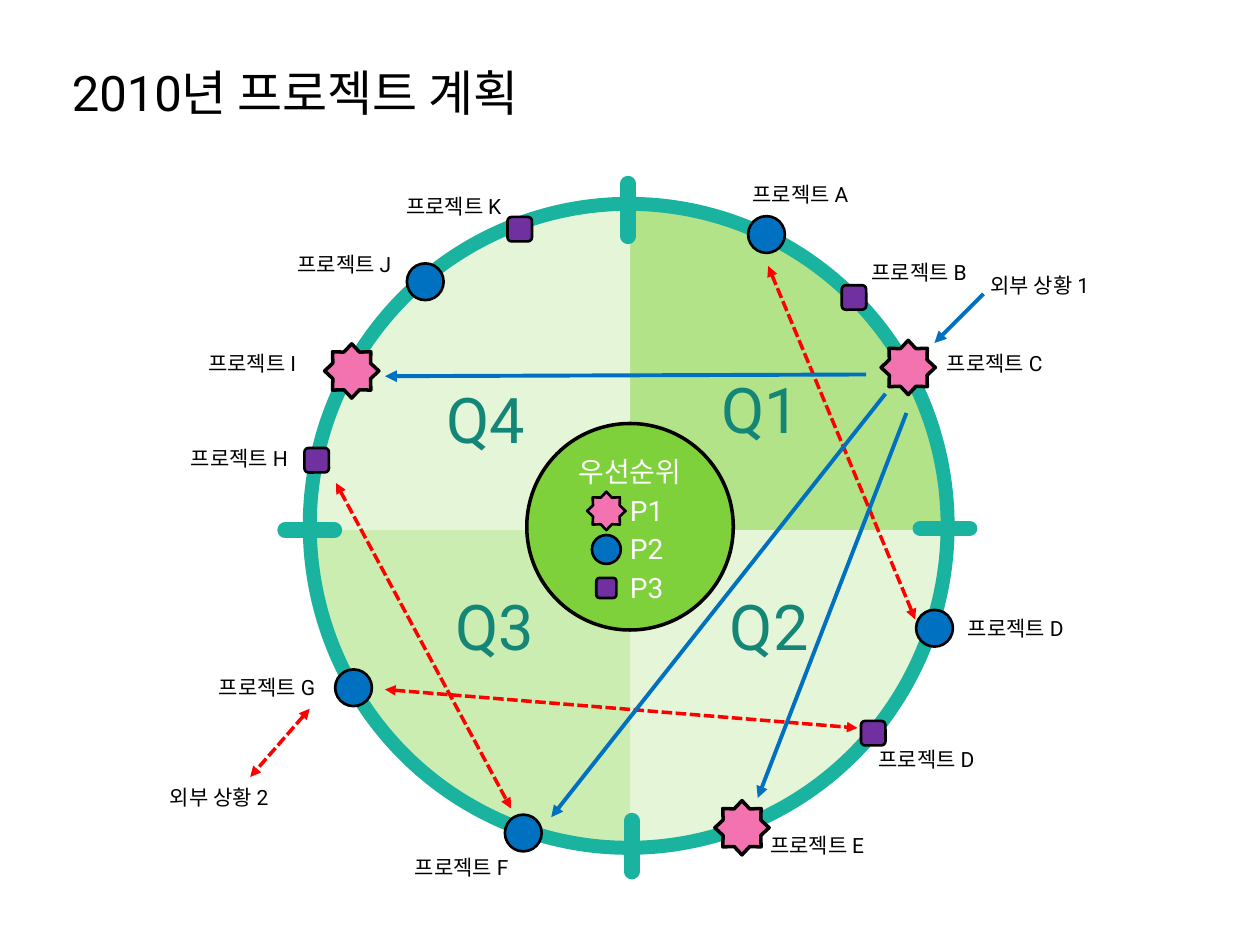
from lxml.etree import SubElement
from pptx import Presentation
from pptx.dml.color import RGBColor
from pptx.enum.dml import MSO_LINE
from pptx.enum.shapes import MSO_CONNECTOR, MSO_SHAPE
from pptx.enum.text import MSO_ANCHOR, PP_ALIGN
from pptx.oxml.ns import qn
from pptx.util import Pt

FONT = "Roboto"
TEAL, DARK_TEAL, BLUE, RED = "1AB39F", "138677", "0070C0", "FF0000"

# Priority: preset, fill, size on the ring, size in the legend
PRIORITIES = {
    "P1": (MSO_SHAPE.STAR_8_POINT, "F273AF", 31, 22),
    "P2": (MSO_SHAPE.OVAL, BLUE, 21, 16.5),
    "P3": (MSO_SHAPE.ROUNDED_RECTANGLE, "7030A0", 14, 11.5),
}

# All places below are offsets from the centre of the wheel
# Project letter, priority, marker centre, label corner
PROJECTS = [
    ("A", "P2", (78, -169), (63, -203)),
    ("B", "P3", (128, -133), (131, -158)),
    ("C", "P1", (159, -93), (174, -106)),
    ("D", "P2", (174, 56), (186, 45)),
    ("D", "P3", (139, 116), (135, 120)),
    ("E", "P1", (64, 170), (73, 169)),
    ("F", "P2", (-61, 173), (-130, 182)),
    ("G", "P2", (-158, 90), (-242, 79)),
    ("H", "P3", (-179, -40), (-258, -52)),
    ("I", "P1", (-159, -91), (-248, -106)),
    ("J", "P2", (-117, -142), (-197, -163)),
    ("K", "P3", (-63, -172), (-135, -196)),
]
EXTERNALS = [("외부 상황 1", (199, -151)), ("외부 상황 2", (-270, 142))]
# Quarter: rotation, fill, label corner
QUARTERS = {
    "Q1": (90, "B2E389", (45, -95)),
    "Q2": (180, "E5F6D8", (50, 29)),
    "Q3": (270, "CCEDB1", (-107, 29)),
    "Q4": (0, "E5F6D8", (-112, -89)),
}
TICKS = [((-1, -198), (-1, -168)), ((166, -1), (194, -1)),
         ((-197, 0), (-169, 0)), ((1, 166), (1, 195))]
ONE_WAY = [((158, -67), (73, 153)), ((146, -78), (-45, 164)),
           ((135, -89), (-140, -88)), ((202, -135), (174, -107))]
TWO_WAY = [((79, -151), (163, 51)), ((-168, -27), (-68, 159)),
           ((-140, 91), (130, 113)), ((-183, 102), (-217, 141))]


def color(hex_value):
    return RGBColor.from_string(hex_value)


def write(frame, text, size=12, ink="000000", align=PP_ALIGN.LEFT, spacing=None):
    """Fill a text frame, one paragraph for each line of the text."""
    frame.word_wrap = True
    for number, line in enumerate(text.split("\n")):
        paragraph = frame.add_paragraph() if number else frame.paragraphs[0]
        paragraph.alignment = align
        if spacing:
            paragraph.line_spacing = Pt(spacing)
        run = paragraph.add_run()
        run.text = line
        run.font.size = Pt(size)
        run.font.name = FONT
        run.font.color.rgb = color(ink)
    return frame


def add_text(slide, text, left, top, width, height, **style):
    box = slide.shapes.add_textbox(Pt(left), Pt(top), Pt(width), Pt(height))
    write(box.text_frame, text, **style)


def add_form(slide, preset, left, top, width, height, fill=None, line=None, weight=1.5):
    form = slide.shapes.add_shape(preset, Pt(left), Pt(top), Pt(width), Pt(height))
    form.shadow.inherit = False
    if fill:
        form.fill.solid()
        form.fill.fore_color.rgb = color(fill)
    else:
        form.fill.background()
    if line:
        form.line.color.rgb = color(line)
        form.line.width = Pt(weight)
    else:
        form.line.fill.background()
    return form


def add_line(slide, centre, start, end, ink, weight, dash=None, heads=(), cap=None):
    x, y = centre
    line = slide.shapes.add_connector(
        MSO_CONNECTOR.STRAIGHT, Pt(x + start[0]), Pt(y + start[1]),
        Pt(x + end[0]), Pt(y + end[1]))
    line.line.color.rgb = color(ink)
    line.line.width = Pt(weight)
    if dash:
        line.line.dash_style = dash
    properties = line.line._get_or_add_ln()
    if cap:
        properties.set("cap", cap)
    for head in heads:
        SubElement(properties, qn(f"a:{head}"), type="triangle")
    SubElement(line._element.spPr, qn("a:effectLst"))


def add_marker(slide, priority, x, y, in_legend=False):
    preset, fill, ring_size, legend_size = PRIORITIES[priority]
    size = legend_size if in_legend else ring_size
    weight = 2 if priority == "P1" and not in_legend else 1.5
    add_form(slide, preset, x - size / 2, y - size / 2, size, size,
             fill, "000000", weight)


def add_wheel(slide, centre, radius):
    x, y = centre
    # Quarter wedges, each turned about its own middle
    for rotation, fill, _ in QUARTERS.values():
        left = x if rotation in (90, 180) else x - radius
        top = y if rotation in (180, 270) else y - radius
        wedge = add_form(slide, MSO_SHAPE.PIE_WEDGE, left, top, radius, radius, fill)
        wedge.rotation = rotation
    # Ring and its ticks
    add_form(slide, MSO_SHAPE.OVAL, x - 183, y - 186.5, 364.5, 368, line=TEAL, weight=8)
    for start, end in TICKS:
        add_line(slide, centre, start, end, TEAL, 9, cap="rnd")


def add_legend(slide, centre, diameter):
    x, y = centre
    hub = add_form(slide, MSO_SHAPE.OVAL, x - diameter / 2, y - diameter / 2,
                   diameter, diameter, "7FD13B", "000000", 2)
    frame = write(hub.text_frame, "\n".join(["우선순위", *PRIORITIES]), size=16,
                  ink="FFFFFF", align=PP_ALIGN.CENTER, spacing=22)
    frame.vertical_anchor = MSO_ANCHOR.MIDDLE
    # Indent the entries to leave room for the markers
    for entry in frame.paragraphs[1:]:
        entry._p.get_or_add_pPr().set("marL", str(Pt(19)))
    for number, priority in enumerate(PRIORITIES):
        add_marker(slide, priority, x - 13.5, y - 9 + 22 * number, in_legend=True)


def add_projects(slide, centre):
    x, y = centre
    for _, priority, (dx, dy), _ in PROJECTS:
        add_marker(slide, priority, x + dx, y + dy)
    # Dependencies
    for start, end in TWO_WAY:
        add_line(slide, centre, start, end, RED, 2, MSO_LINE.SQUARE_DOT,
                 ("headEnd", "tailEnd"))
    for start, end in ONE_WAY:
        add_line(slide, centre, start, end, BLUE, 2.25, heads=("tailEnd",))
    # Labels
    for quarter, (_, _, (dx, dy)) in QUARTERS.items():
        add_text(slide, quarter, x + dx, y + dy, 68, 51, size=36, ink=DARK_TEAL)
    labels = [(f"프로젝트 {letter}", corner) for letter, _, _, corner in PROJECTS]
    for label, (dx, dy) in labels + EXTERNALS:
        add_text(slide, label, x + dx, y + dy, 118, 22)


def main():
    deck = Presentation()
    deck.slide_width, deck.slide_height = Pt(720), Pt(540)
    slide = deck.slides.add_slide(deck.slide_layouts[6])
    centre = (360, 303)
    add_text(slide, "2010년 프로젝트 계획", 34, 32, 405, 41, size=28)
    add_wheel(slide, centre, 184.5)
    add_legend(slide, (360, 301), 118)
    add_projects(slide, centre)
    deck.save("out.pptx")


if __name__ == "__main__":
    main()
